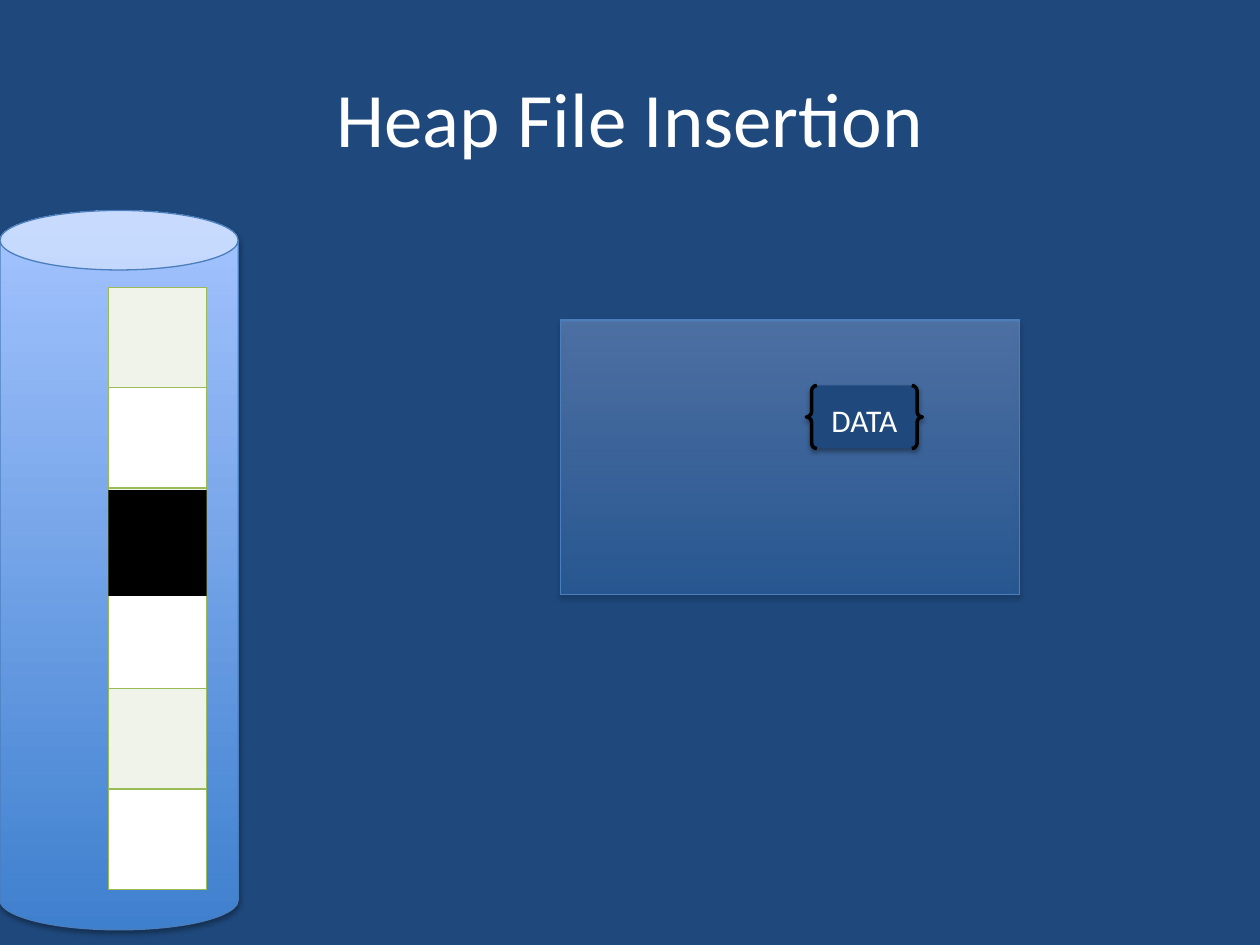
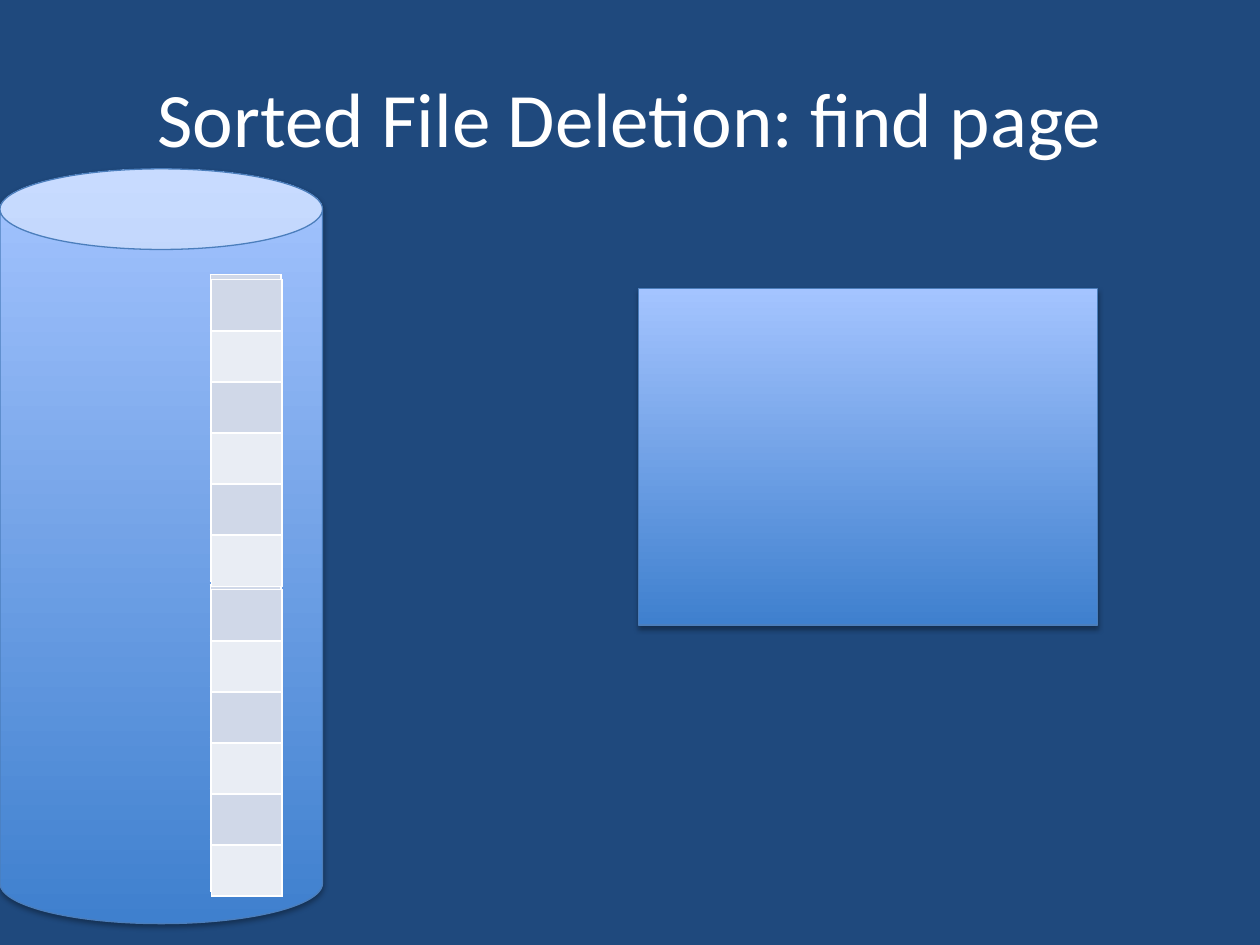
"""Builds two slides on heap file insertion and sorted file deletion."""
from itertools import cycle

from lxml.etree import SubElement
from pptx import Presentation
from pptx.dml.color import RGBColor
from pptx.enum.shapes import MSO_SHAPE as Shape
from pptx.enum.text import MSO_ANCHOR as Anchor, PP_ALIGN as Align
from pptx.oxml import parse_xml
from pptx.oxml.ns import nsdecls, qn
from pptx.util import Inches, Pt

NAVY, WHITE, BLACK, EDGE = "1F497D", "FFFFFF", "000000", "4B7EBC"
GRADIENT = ("3F80CE", "A4C4FF")
CYLINDER_SHADOW, BRACE_SHADOW = (35, 1.8), (38, 1.6)


def paint(target, colour):
    """Colour a fill solid, or a font or gradient stop directly."""
    if hasattr(target, "solid"):
        target.solid()
        target = target.fore_color
    elif hasattr(target, "color"):
        target = target.color
    target.rgb = RGBColor.from_string(colour)


def draw(slide, kind, box, fill, line=None, shadow=None, opacity=None):
    """Add a preset shape with solid or gradient fill, line and shadow."""
    shape = slide.shapes.add_shape(kind, *map(Inches, box))
    shape.shadow.inherit = False
    if isinstance(fill, str):
        paint(shape.fill, fill)
    else:
        shape.fill.gradient()
        shape.fill.gradient_angle = 90
        for stop, colour in zip(shape.fill.gradient_stops, fill):
            paint(stop, colour)
    if opacity:
        for tint in shape.element.spPr.iter(qn("a:srgbClr")):
            SubElement(tint, qn("a:alpha"), val=str(opacity * 1000))
    if line:
        colour, width = line
        paint(shape.line.fill, colour)
        shape.line.width = Pt(width)
    else:
        shape.line.fill.background()
    if shadow:
        alpha, distance = shadow
        shape.element.spPr.find(qn("a:effectLst")).append(parse_xml(
            f'<a:outerShdw {nsdecls("a")} blurRad="{Pt(3.1)}" dist="{Pt(distance)}" '
            f'dir="5400000" rotWithShape="0"><a:srgbClr val="{BLACK}">'
            f'<a:alpha val="{alpha * 1000}"/></a:srgbClr></a:outerShdw>'))
    return shape


deck = Presentation()
deck.slide_width, deck.slide_height = Inches(10), Inches(7.5)

pages = [
    {"title": "Heap File Insertion", "disk": (0, 1.67, 1.89, 5.71),
     "buffer": (4.45, 2.54, 3.64, 2.18), "opacity": 36,
     "files": [(0.86, 2.28)], "file_size": (0.78, 4.78),
     "bands": ("EFF3EA", WHITE), "border": "9BBB59"},
    {"title": "Sorted File Deletion: find page", "disk": (0, 1.34, 2.56, 5.99),
     "buffer": (5.07, 2.29, 3.64, 2.67), "opacity": None,
     "files": [(1.67, 2.18), (1.67, 4.64), (1.68, 2.22), (1.68, 4.68)],
     "file_size": (0.56, 2.43), "bands": ("D0D8E8", "E9EDF4"), "border": WHITE},
]

labels = []
for page in pages:
    slide = deck.slides.add_slide(deck.slide_layouts[5])
    paint(slide.background.fill, NAVY)
    title = slide.shapes.title
    title.left, title.top, title.width, title.height = map(Inches, (0.5, 0.3, 9, 1.25))
    title.text = page["title"]
    labels.append((title, 44))

    draw(slide, Shape.CAN, page["disk"], GRADIENT, (EDGE, 0.75), CYLINDER_SHADOW)
    draw(slide, Shape.RECTANGLE, page["buffer"], GRADIENT, (EDGE, 0.75),
         CYLINDER_SHADOW, page["opacity"])

    for corner in page["files"]:
        records = slide.shapes.add_table(
            6, 1, *map(Inches, corner + page["file_size"])).table
        for row, band in zip(records.rows, cycle(page["bands"])):
            cell = row.cells[0]
            for side in "LRTB":
                border = SubElement(cell._tc.get_or_add_tcPr(), qn(f"a:ln{side}"),
                                    w=str(Pt(1)))
                SubElement(SubElement(border, qn("a:solidFill")), qn("a:srgbClr"),
                           val=page["border"])
            paint(cell.fill, band)

heap = deck.slides[0]
draw(heap, Shape.RECTANGLE, (0.86, 3.89, 0.78, 0.84), BLACK)
record = draw(heap, Shape.DOUBLE_BRACE, (6.4, 3.06, 0.92, 0.5), NAVY, (BLACK, 2),
              BRACE_SHADOW)
record.text_frame.text = "DATA"
labels.append((record, 18))

for label, size in labels:
    label.text_frame.vertical_anchor = Anchor.MIDDLE
    paragraph = label.text_frame.paragraphs[0]
    paragraph.alignment = Align.CENTER
    font = paragraph.runs[0].font
    for name, value in {"name": "Calibri", "size": Pt(size)}.items():
        setattr(font, name, value)
    paint(font, WHITE)

deck.save("out.pptx")
